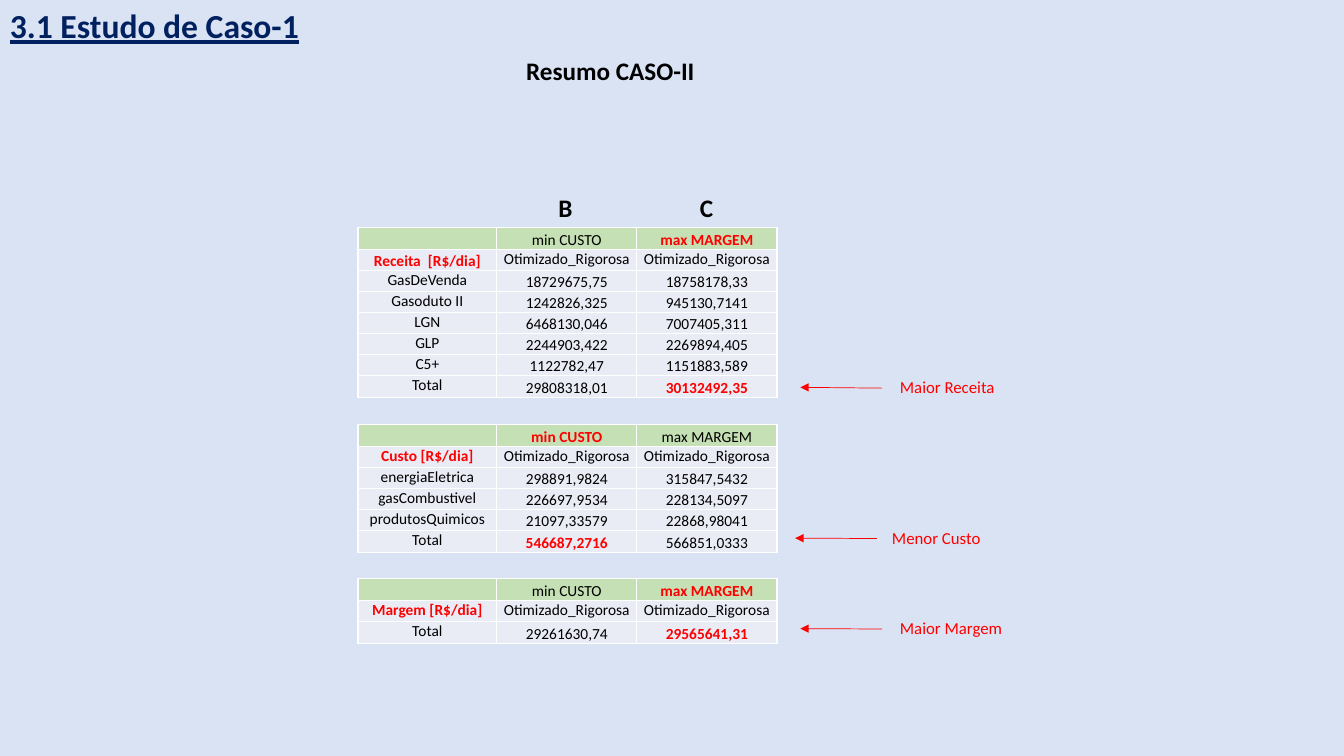
from lxml.etree import SubElement
from pptx import Presentation
from pptx.dml.color import RGBColor
from pptx.enum.shapes import MSO_CONNECTOR
from pptx.enum.text import MSO_ANCHOR, MSO_AUTO_SIZE, PP_ALIGN
from pptx.oxml.ns import qn
from pptx.util import Cm, Pt

COLORS = {
    "background": "DAE3F3",
    "title": "002060",
    "text": "000000",
    "highlight": "FF0000",
    "header": "C5E0B4",
    "body": "E9EBF5",
    "border": "FFFFFF",
}


def rgb(name):
    return RGBColor.from_string(COLORS[name])


def write(tf, text, size=11, color="text", bold=False, underline=False, align=None):
    """Put one formatted run into the first paragraph of a text frame."""
    p = tf.paragraphs[0]
    p.alignment = align
    r = p.add_run()
    r.text = text
    r.font.name = "Calibri"
    r.font.size = Pt(size)
    r.font.bold = bold
    r.font.underline = underline
    r.font.color.rgb = rgb(color)


prs = Presentation()
prs.slide_width, prs.slide_height = Cm(33.87), Cm(19.05)
s = prs.slides.add_slide(prs.slide_layouts[6])
s.background.fill.solid()
s.background.fill.fore_color.rgb = rgb("background")

# Text boxes: text, left, top, width, height, wrap, format
heading = {"size": 18, "bold": True}
label = {"size": 12, "color": "highlight"}
boxes = [
    ("3.1 Estudo de Caso-1", 0, 0, 23.09, 1.27, True,
     {"size": 24, "color": "title", "bold": True, "underline": True}),
    ("Resumo CASO-II", 13.01, 1.27, 4.85, 1.02, True, heading),
    ("B", 13.82, 4.72, 0.94, 1.02, True, heading),
    ("C", 17.39, 4.72, 0.94, 1.02, True, heading),
    ("Maior Receita", 22.43, 9.37, 2.92, 0.76, False, label),
    ("Menor Custo", 22.23, 13.18, 2.77, 0.76, False, label),
    ("Maior Margem", 22.43, 15.44, 3.12, 0.76, False, label),
]
for text, left, top, width, height, wrap, style in boxes:
    tf = s.shapes.add_textbox(Cm(left), Cm(top), Cm(width), Cm(height)).text_frame
    tf.word_wrap = wrap
    tf.auto_size = MSO_AUTO_SIZE.SHAPE_TO_FIT_TEXT
    write(tf, text, **style)

# Tables: top, best column, category, category anchor, values
tables = [
    (5.74, 2, "Receita  [R$/dia]", MSO_ANCHOR.BOTTOM, [
        ("GasDeVenda", "18729675,75", "18758178,33"),
        ("Gasoduto II", "1242826,325", "945130,7141"),
        ("LGN", "6468130,046", "7007405,311"),
        ("GLP", "2244903,422", "2269894,405"),
        ("C5+", "1122782,47", "1151883,589"),
        ("Total", "29808318,01", "30132492,35"),
    ]),
    (10.7, 1, "Custo [R$/dia]", MSO_ANCHOR.TOP, [
        ("energiaEletrica", "298891,9824", "315847,5432"),
        ("gasCombustivel", "226697,9534", "228134,5097"),
        ("produtosQuimicos", "21097,33579", "22868,98041"),
        ("Total", "546687,2716", "566851,0333"),
    ]),
    (14.58, 2, "Margem [R$/dia]", MSO_ANCHOR.TOP, [
        ("Total", "29261630,74", "29565641,31"),
    ]),
]
col_widths = [3.5, 3.53, 3.53]
for top, best, category, category_anchor, values in tables:
    rows = [("", "min CUSTO", "max MARGEM"),
            (category, "Otimizado_Rigorosa", "Otimizado_Rigorosa"), *values]
    last = len(rows) - 1
    heights = [0.55 if i in (0, last) else 0.53 for i in range(len(rows))]
    table = s.shapes.add_table(len(rows), 3, Cm(9.02), Cm(top),
                               Cm(sum(col_widths)), Cm(sum(heights))).table
    table.first_row = table.horz_banding = False
    for col, width in zip(table.columns, col_widths):
        col.width = Cm(width)
    for i, row in enumerate(rows):
        table.rows[i].height = Cm(heights[i])
        for j, text in enumerate(row):
            cell = table.cell(i, j)
            cell.margin_left = cell.margin_right = cell.margin_top = cell.margin_bottom = 0
            is_category = (i, j) == (1, 0)
            if is_category:
                cell.vertical_anchor = category_anchor
            elif j > 0 and i != 1:
                cell.vertical_anchor = MSO_ANCHOR.BOTTOM
            else:
                cell.vertical_anchor = MSO_ANCHOR.TOP
            for side in ("lnL", "lnR", "lnT", "lnB"):
                ln = SubElement(cell._tc.get_or_add_tcPr(), qn(f"a:{side}"), w=str(Pt(1)))
                fill = SubElement(ln, qn("a:solidFill"))
                SubElement(fill, qn("a:srgbClr"), val=COLORS["border"])
            cell.fill.solid()
            cell.fill.fore_color.rgb = rgb("header" if i == 0 else "body")
            if text:
                strong = is_category or (j == best and i in (0, last))
                write(cell.text_frame, text, bold=strong, align=PP_ALIGN.CENTER,
                      color="highlight" if strong else "text")
            else:
                # Keeps the empty cell from stretching its row
                SubElement(cell.text_frame.paragraphs[0]._p, qn("a:endParaRPr"), sz="1100")

# Arrows pointing from each label to its best total
for start, y, end_y in [(22.23, 9.78, 9.76), (22.1, 13.57, 13.56), (22.23, 15.85, 15.84)]:
    arrow = s.shapes.add_connector(MSO_CONNECTOR.STRAIGHT, Cm(start), Cm(y),
                                   Cm(start - 2.06), Cm(end_y))
    arrow.line.color.rgb = rgb("highlight")
    arrow.line.width = Pt(0.5)
    SubElement(arrow.line._get_or_add_ln(), qn("a:tailEnd"), type="triangle")
    SubElement(arrow._element.spPr, qn("a:effectLst"))

prs.save("out.pptx")
